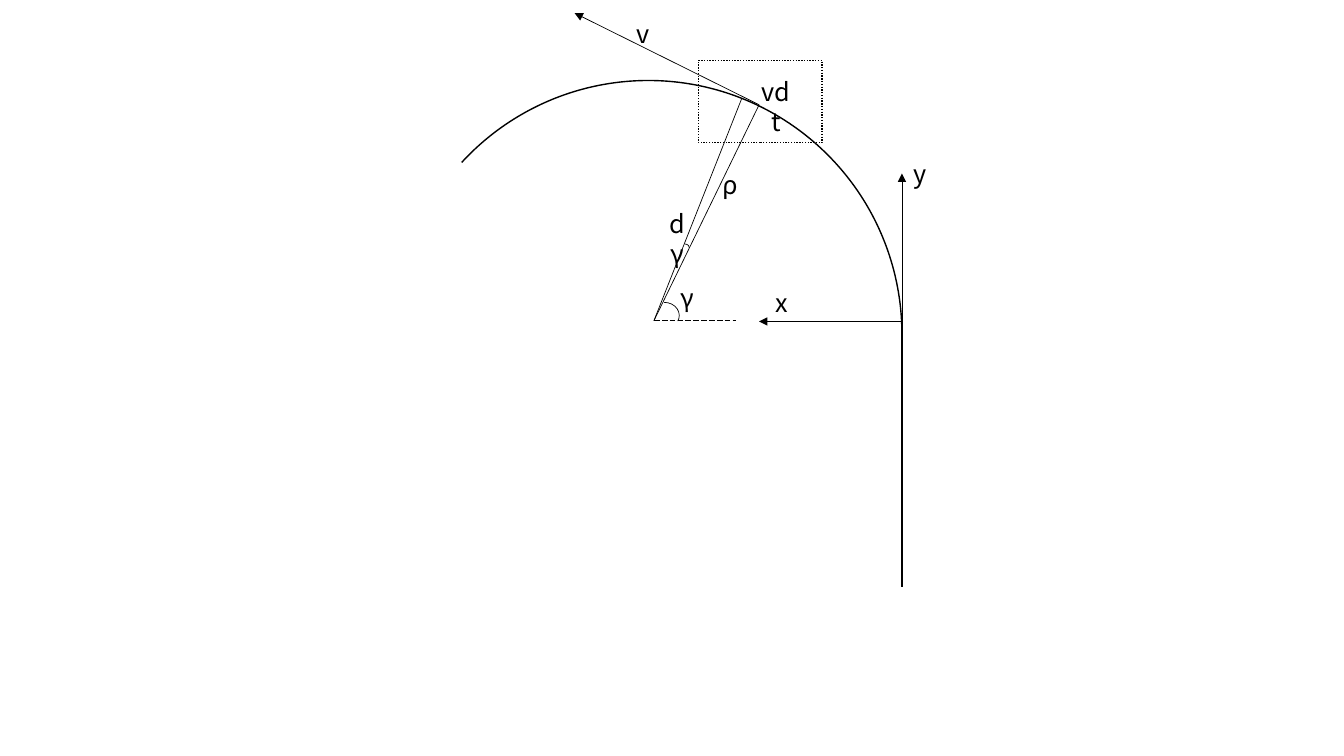
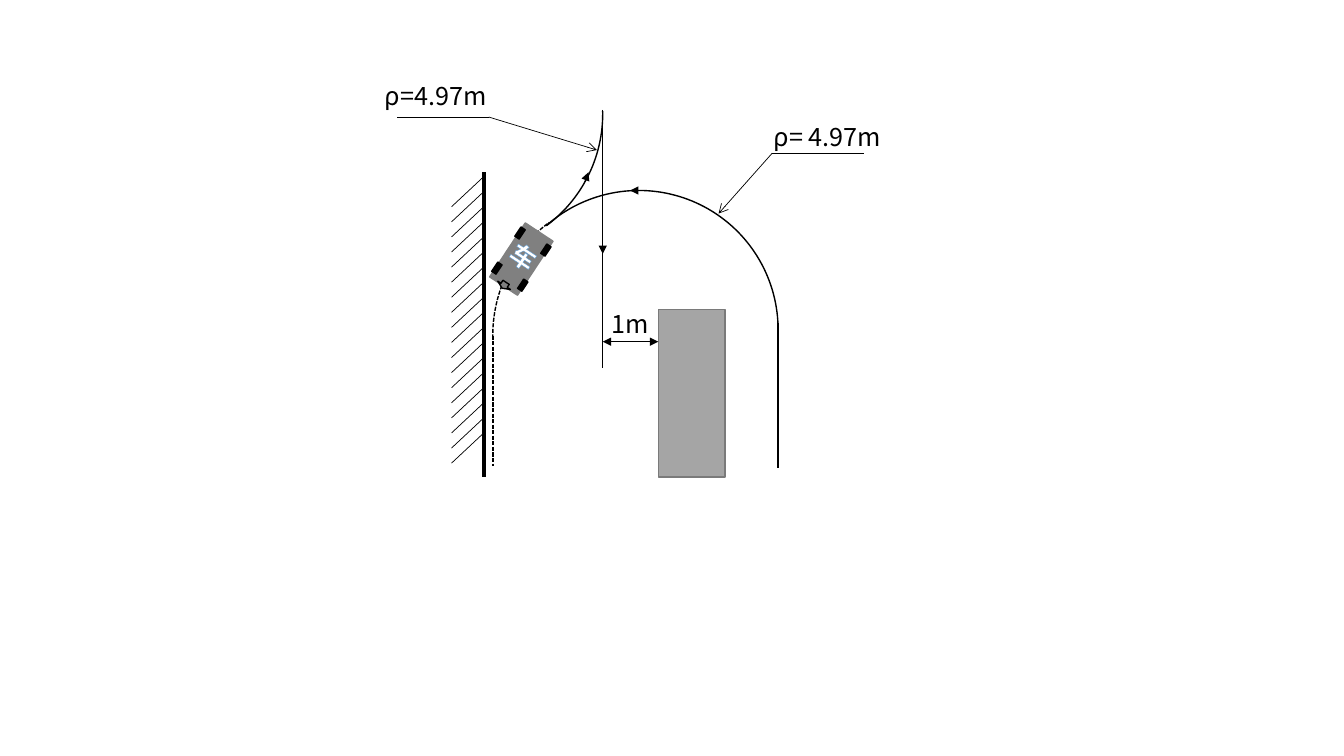
from math import cos, radians, sin

from lxml.etree import SubElement
from pptx import Presentation
from pptx.dml.color import RGBColor
from pptx.enum.dml import MSO_LINE
from pptx.enum.shapes import MSO_CONNECTOR, MSO_SHAPE
from pptx.enum.text import MSO_ANCHOR, PP_ALIGN
from pptx.oxml import parse_xml
from pptx.oxml.ns import nsdecls, qn
from pptx.util import Cm, Pt

# Shared style
FONT = "Noto Sans CJK SC"
BLACK, WHITE, CAR_GRAY = "000000", "FFFFFF", "808080"
OBSTACLE_FILL, OBSTACLE_EDGE, GLYPH_EDGE = "A5A5A5", "7A7A7A", "5B9BD5"
THIN, CURVE, ROAD, WALL = 0.5, 1, 1.25, 3
LABEL_HEIGHT = 1.02


def color(hex_value):
    return RGBColor.from_string(hex_value)


class Region:
    """A drawing area whose parts are placed in cm from its top left corner."""

    def __init__(self, slide, left, top):
        self.shapes = slide.shapes
        self.left, self.top = left, top

    def point(self, x, y):
        return Cm(self.left + x), Cm(self.top + y)

    def line(self, start, end, width=THIN, head=None, tail=None, dash=None):
        stroke = self.shapes.add_connector(
            MSO_CONNECTOR.STRAIGHT, *self.point(*start), *self.point(*end))
        style_line(stroke.line, BLACK, width, dash)
        ln = stroke.line._get_or_add_ln()
        for tag, kind in (("a:headEnd", head), ("a:tailEnd", tail)):
            if kind:
                SubElement(ln, qn(tag), type=kind)
        SubElement(stroke._element.spPr, qn("a:effectLst"))

    def shape(self, kind, x, y, width, height, fill=None, edge=BLACK,
              weight=CURVE, dash=None):
        part = self.shapes.add_shape(
            kind, *self.point(x, y), Cm(width), Cm(height))
        part.shadow.inherit = False
        if fill:
            part.fill.solid()
            part.fill.fore_color.rgb = color(fill)
        else:
            part.fill.background()
        style_line(part.line, edge, weight, dash)
        return part

    def arc(self, center, radii, start, end, weight=CURVE, dash=None):
        """Draw clockwise from start to end, in degrees from the right."""
        (x, y), (rx, ry) = center, radii
        curve = self.shape(MSO_SHAPE.ARC, x - rx, y - ry, 2 * rx, 2 * ry,
                           weight=weight, dash=dash)
        for index, angle in enumerate((start, end)):
            curve.adjustments[index] = angle % 360 * 0.6

    def label(self, text, x, y, width, wrap=True, align=PP_ALIGN.CENTER,
              height=LABEL_HEIGHT, ink=BLACK):
        box = self.shapes.add_textbox(
            *self.point(x, y), Cm(width), Cm(height))
        frame = box.text_frame
        frame.text = text
        frame.word_wrap = wrap
        paragraph = frame.paragraphs[0]
        paragraph.alignment = align
        font = paragraph.runs[0].font
        font.size, font.name = Pt(18), FONT
        font.color.rgb = color(ink)
        SubElement(font._element, qn("a:ea"), typeface=FONT)
        return box


def style_line(line, ink, width, dash=None):
    line.color.rgb = color(ink)
    line.width = Pt(width)
    if dash:
        line.dash_style = dash


def draw_turn_geometry(region):
    origin, contact, center = (12.73, 8.1), (9.13, 2.64), (6.48, 8.08)

    # Track: straight approach, then the turn
    region.arc((6.34, 8.42), (6.39, 6.39), 222.6, 360)
    region.line(origin, (12.73, 14.78), ROAD)

    # Axes and velocity
    for start, end in ((origin, (12.73, 4.37)), (origin, (9.13, 8.1)),
                       (contact, (4.48, 0.33))):
        region.line(start, end, tail="triangle")

    # Radii and angles
    region.line(contact, center)
    region.line((8.69, 2.49), center)
    region.line(center, (8.54, 8.08), dash=MSO_LINE.LONG_DASH)
    region.arc((7.27, 6.24), (0.1, 0.09), 270, 360, THIN)
    region.arc((6.74, 7.95), (0.38, 0.33), 270, 22.35, THIN)

    # Symbols
    for symbol, x, y, width in (
            ("x", 9.3, 7.11, 0.79), ("y", 12.78, 3.86, 0.81),
            ("ρ", 7.96, 4.14, 0.89), ("γ", 6.89, 6.99, 0.84),
            ("v", 5.8, 0.33, 0.81)):
        region.label(symbol, x, y, width, wrap=False)
    region.label("dγ", 6.46, 5.13, 1.2)
    region.label("vdt", 8.85, 1.8, 1.4)

    # Detail frame
    region.shape(MSO_SHAPE.RECTANGLE, 7.6, 1.52, 3.12, 2.08,
                 dash=MSO_LINE.ROUND_DOT)


def draw_route(region):
    radius, lane, outer, inner = 3.51, 6.19, 10.61, 3.42

    # Forward turn, second turn and the reversing path
    region.arc((7.1, 7.31), (radius, radius), 228.3, 360)
    region.line((outer, 7.13), (outer, 10.79), ROAD)
    region.arc((2.68, 1.87), (radius, radius), 358.85, 53.2)
    region.arc((6.82, 7.46), (3.4, radius), 178.8, 235.2,
               dash=MSO_LINE.SQUARE_DOT)
    region.line((inner, 7.46), (inner, 10.73), CURVE,
                dash=MSO_LINE.SQUARE_DOT)
    region.line((lane, 1.77), (lane, 8.27), CURVE)

    # Direction marks
    for start, end in (((lane, 4.08), (lane, 5.4)),
                       ((5.73, 3.6), (5.83, 3.34)),
                       ((7.28, 3.8), (6.88, 3.8))):
        region.line(start, end, tail="triangle")

    # Obstacle and its clearance
    region.shape(MSO_SHAPE.RECTANGLE, 7.59, 6.8, 1.68, 4.22,
                 OBSTACLE_FILL, OBSTACLE_EDGE)
    region.line((lane, 7.61), (7.59, 7.61), head="triangle", tail="triangle")
    region.label("1m", 6.16, 6.65, 1.52, align=PP_ALIGN.LEFT)

    # Radius callouts
    for elbow, target, shelf_end, text, text_box in (
            ((10.46, 2.86), (9.11, 4.38), 12.77, "ρ= 4.97m",
             (10.25, 1.92, 3.33)),
            ((3.32, 1.95), (6.04, 2.78), 1.01, "ρ=4.97m",
             (0.45, 0.91, 3.1))):
        region.line(elbow, target, tail="arrow")
        region.line(elbow, (shelf_end, elbow[1]))
        region.label(text, *text_box, align=PP_ALIGN.LEFT)


def draw_car(region, center_x, center_y, heading):
    def locate(across, along, width, height):
        """Turn a centre in car coordinates into a left and top."""
        turn = radians(heading)
        x = center_x + across * cos(turn) - along * sin(turn)
        y = center_y + across * sin(turn) + along * cos(turn)
        return x - width / 2, y - height / 2, width, height

    def part(kind, across, along, width, height, fill, edge=BLACK):
        region.shape(kind, *locate(across, along, width, height),
                     fill, edge).rotation = heading

    # Body, rear hitch and wheels
    part(MSO_SHAPE.RECTANGLE, 0, 0, 0.84, 1.63, CAR_GRAY, CAR_GRAY)
    part(MSO_SHAPE.DOWN_ARROW, 0, 0.79, 0.38, 0.18, CAR_GRAY)
    for across in (-0.39, 0.39):
        for along in (-0.53, 0.53):
            part(MSO_SHAPE.RECTANGLE, across, along, 0.13, 0.28, BLACK)

    # Outlined name
    x, y, width, height = locate(0, -0.08, 1.52, 0.84)
    name = region.label("车", x, y, width, height=height, ink=WHITE)
    name.rotation = heading
    frame = name.text_frame
    frame.margin_top = frame.margin_bottom = 0
    frame.vertical_anchor = MSO_ANCHOR.MIDDLE
    font = frame.paragraphs[0].runs[0].font
    font.bold = True
    font._element.insert(0, parse_xml(
        f'<a:ln {nsdecls("a")} w="{Pt(0.8)}"><a:solidFill>'
        f'<a:srgbClr val="{GLYPH_EDGE}"/></a:solidFill></a:ln>'))


def draw_wall(region, x, top, bottom):
    region.line((x, top), (x, bottom), WALL)
    for step in range(18):
        y = top + 0.13 + step * 0.38
        region.line((x - 0.02, y), (x - 0.81, y + 0.74))


deck = Presentation()
deck.slide_width, deck.slide_height = Cm(33.87), Cm(19.05)
blank = deck.slide_layouts[6]

draw_turn_geometry(Region(deck.slides.add_slide(blank), 10, 0))

route = Region(deck.slides.add_slide(blank), 9, 1)
draw_route(route)
draw_car(route, 4.14, 5.53, heading=33.4)
draw_wall(route, 3.19, 3.34, 11.01)

deck.save("out.pptx")
